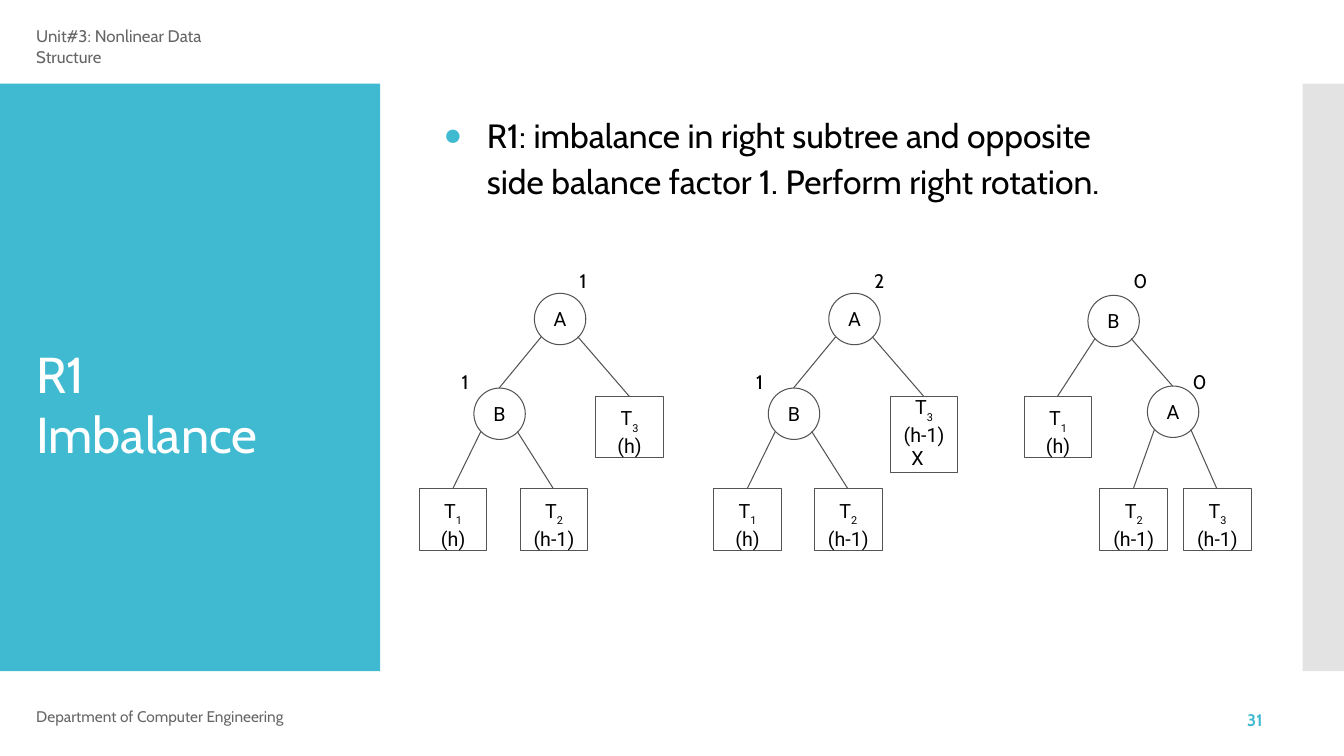
from dataclasses import dataclass

import lxml.etree
import pptx
import pptx.dml.color
import pptx.enum.shapes
import pptx.enum.text
import pptx.oxml.ns
import pptx.util

PX = 9144  # EMU in one px, 100 px to the inch
COLORS = {
    "accent": "40BAD1",
    "edge": "C8C8C8",
    "outline": "545454",
    "muted": "666666",
    "black": "000000",
    "white": "FFFFFF",
}
CIRCLE = 51
LEAF_WIDTH = 67
EDGE_OFFSET = 18
FACTOR_TOP, LEVEL_STEP = 266, 100

Align = pptx.enum.text.PP_ALIGN
Anchor = pptx.enum.text.MSO_ANCHOR
Preset = pptx.enum.shapes.MSO_SHAPE
qn = pptx.oxml.ns.qn


@dataclass(frozen=True)
class Leaf:
    index: str
    height: str
    x: int
    top: int
    inserted: bool = False


@dataclass(frozen=True)
class Node:
    label: str
    x: int
    top: int
    factor: str
    left: "Node | Leaf"
    right: "Node | Leaf"


@dataclass(frozen=True)
class Note:
    text: str
    left: int
    top: int
    width: int
    height: int
    size: int
    color: str
    bold: bool = False
    spacing: float = 0


def px(value: int) -> pptx.util.Emu:
    return pptx.util.Emu(value * PX)


def rgb(name: str) -> pptx.dml.color.RGBColor:
    return pptx.dml.color.RGBColor.from_string(COLORS[name])


def place(shape, left: int, top: int, width: int, height: int) -> None:
    shape.left, shape.top = px(left), px(top)
    shape.width, shape.height = px(width), px(height)


def prepare_frame(frame, top_inset: int = 0, anchor=Anchor.TOP) -> None:
    frame.margin_left = frame.margin_right = frame.margin_bottom = 0
    frame.margin_top = px(top_inset)
    frame.vertical_anchor = anchor
    frame.auto_size = pptx.enum.text.MSO_AUTO_SIZE.NONE
    frame.word_wrap = True


def style(para, font: str, size: float, color: str, align=Align.LEFT, bold: bool = False) -> None:
    para.alignment = align
    para.space_before = pptx.util.Pt(0)
    for span in para.runs:
        span.font.name = font
        span.font.size = pptx.util.Pt(size)
        span.font.bold = bold
        span.font.color.rgb = rgb(color)


def add_note(page, note: Note) -> None:
    box = page.shapes.add_textbox(px(note.left), px(note.top), px(note.width), px(note.height))
    prepare_frame(box.text_frame, 0 if note.spacing else 1)
    para = box.text_frame.paragraphs[0]
    para.text = note.text
    style(para, "Cabin", note.size, note.color, bold=note.bold)
    if note.spacing:
        para.line_spacing = pptx.util.Pt(note.spacing)


def add_panel(page, left: int, width: int, color: str):
    """Add a side panel behind the placeholders."""
    panel = page.shapes.add_shape(Preset.RECTANGLE, px(left), px(83), px(width), px(583))
    panel.shadow.inherit = False
    panel.fill.solid()
    panel.fill.fore_color.rgb = rgb(color)
    panel.line.fill.background()
    page.shapes.title.element.addprevious(panel.element)
    return panel


def add_outlined(page, preset, left: int, top: int, width: int, height: int):
    shape = page.shapes.add_shape(preset, px(left), px(top), px(width), px(height))
    shape.shadow.inherit = False
    shape.fill.background()
    shape.line.color.rgb = rgb("outline")
    shape.line.width = pptx.util.Pt(0.75)
    return shape


def add_edge(page, x1: int, y1: int, x2: int, y2: int) -> None:
    edge = page.shapes.add_connector(
        pptx.enum.shapes.MSO_CONNECTOR.STRAIGHT, px(x1), px(y1), px(x2), px(y2)
    )
    edge.line.color.rgb = rgb("outline")
    edge.line.width = pptx.util.Pt(0.75)
    lxml.etree.SubElement(edge.element.spPr, qn("a:effectLst"))


def add_leaf(page, leaf: Leaf) -> None:
    height, inset = (76, 4) if leaf.inserted else (61, 15)
    box = add_outlined(page, Preset.RECTANGLE, leaf.x - 33, leaf.top, LEAF_WIDTH, height)
    frame = box.text_frame
    prepare_frame(frame, inset)
    lines = ["T", leaf.height] + (["X"] if leaf.inserted else [])
    frame.text = "\n".join(lines)
    subscript = frame.paragraphs[0].add_run()
    subscript.text = leaf.index
    for para in frame.paragraphs:
        style(para, "Roboto", 14, "black", Align.CENTER)
        para.line_spacing = pptx.util.Pt(16.5)
    subscript.font.size = pptx.util.Pt(13.5)
    subscript.font._element.set("baseline", "-34000")
    if leaf.inserted:
        frame.paragraphs[2]._p.get_or_add_pPr().set("marR", str(px(13)))


def add_tree(page, node: Node | Leaf, level: int = 0, factor_shift: int = 20) -> None:
    """Draw a subtree; factor_shift runs from the circle's centre to its balance factor."""
    if isinstance(node, Leaf):
        add_leaf(page, node)
        return
    circle = add_outlined(page, Preset.OVAL, node.x - CIRCLE // 2, node.top, CIRCLE, CIRCLE)
    prepare_frame(circle.text_frame, anchor=Anchor.MIDDLE)
    circle.text_frame.text = node.label
    style(circle.text_frame.paragraphs[0], "Roboto", 14, "black", Align.CENTER)
    factor_top = FACTOR_TOP + level * LEVEL_STEP
    add_note(page, Note(node.factor, node.x + factor_shift, factor_top, 14, 25, 14, "black"))
    start = node.top + CIRCLE // 2 + EDGE_OFFSET
    for child, side, shift in ((node.left, -1, -37), (node.right, 1, 20)):
        add_edge(page, node.x + side * EDGE_OFFSET, start, child.x, child.top)
        add_tree(page, child, level + 1, shift)


def unrotated_tree(x: int, factor: str, right_height: str, inserted: bool) -> Node:
    child = Node("B", x - 60, 385, "1", Leaf("1", "(h)", x - 106, 485), Leaf("2", "(h-1)", x - 6, 485))
    return Node("A", x, 291, factor, child, Leaf("3", right_height, x + 69, 393, inserted))


def fill_title(title) -> None:
    place(title, 36, 339, 260, 125)
    prepare_frame(title.text_frame, 1)
    title.text_frame.text = "R1 Imbalance"
    style(title.text_frame.paragraphs[0], "Cabin", 36, "white")


def fill_body(body) -> None:
    place(body, 438, 107, 701, 94)
    prepare_frame(body.text_frame, 1)
    para = body.text_frame.paragraphs[0]
    para.text = (
        "R1: imbalance in right subtree and opposite side balance factor 1. "
        "Perform right rotation."
    )
    para.line_spacing = 1.15
    style(para, "Cabin", 24, "black")
    settings = para._p.get_or_add_pPr()
    settings.set("marL", str(px(45)))
    settings.set("indent", str(px(-43)))
    bullet_color = lxml.etree.SubElement(settings, qn("a:buClr"))
    lxml.etree.SubElement(bullet_color, qn("a:srgbClr"), val=COLORS["accent"])
    lxml.etree.SubElement(settings, qn("a:buSzPct"), val="92000")
    lxml.etree.SubElement(settings, qn("a:buChar"), char="●")


def main() -> None:
    deck = pptx.Presentation()
    deck.slide_width, deck.slide_height = px(1333), px(750)
    page = deck.slides.add_slide(deck.slide_layouts[1])
    add_panel(page, 0, 377, "accent")
    strip = add_panel(page, 1292, 41, "edge")
    strip_color = strip.element.spPr.find(".//" + qn("a:srgbClr"))
    lxml.etree.SubElement(strip_color, qn("a:alpha"), val="50000")
    fill_title(page.shapes.title)
    fill_body(page.placeholders[1])

    rotated_child = Node("A", 1163, 383, "0", Leaf("2", "(h-1)", 1124, 485), Leaf("3", "(h-1)", 1207, 485))
    trees = [
        unrotated_tree(555, "1", "(h)", False),
        unrotated_tree(847, "2", "(h-1)", True),
        Node("B", 1104, 293, "0", Leaf("1", "(h)", 1049, 393), rotated_child),
    ]
    for tree in trees:
        add_tree(page, tree)

    notes = [
        Note("Unit#3: Nonlinear Data Structure", 36, 25, 210, 42, 12, "muted"),
        Note("Department of Computer Engineering", 36, 704, 270, 18, 11, "muted", spacing=11.4),
        Note("31", 1237, 707, 25, 19, 12, "accent", bold=True, spacing=12.3),
    ]
    for note in notes:
        add_note(page, note)
    deck.save("out.pptx")


if __name__ == "__main__":
    main()
